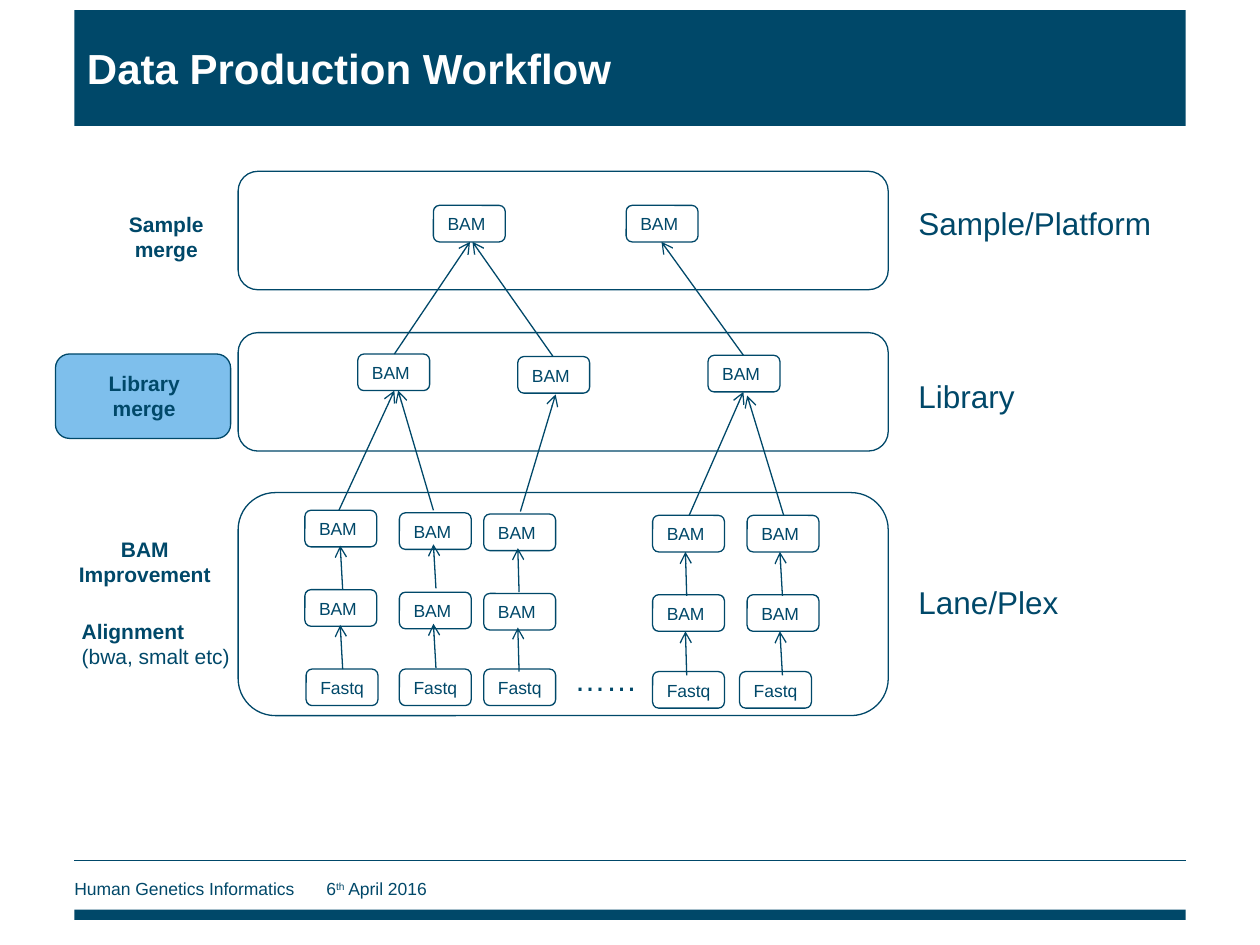
import pptx
import pptx.dml.color
import pptx.enum.shapes
import pptx.enum.text
import pptx.oxml.ns
import pptx.util
from lxml import etree
from pptx.util import Inches

COLORS = {"navy": "004869", "sky": "7EBFEC", "white": "FFFFFF"}
BOX_WIDTH, BOX_HEIGHT = 0.57, 0.29
PANEL_LEFT, PANEL_WIDTH = 1.89, 5.16
LANE_STEP = 0.63
ALIGN = pptx.enum.text.PP_ALIGN
ANCHOR = pptx.enum.text.MSO_ANCHOR
AUTO_SIZE = pptx.enum.text.MSO_AUTO_SIZE
SHAPES = pptx.enum.shapes.MSO_SHAPE


def rgb(name):
    return pptx.dml.color.RGBColor.from_string(COLORS[name])


def write_text(frame, lines, size=10, color="navy", bold=False, align=ALIGN.LEFT,
               anchor=ANCHOR.TOP):
    frame.vertical_anchor = anchor
    for index, runs in enumerate(lines):
        paragraph = frame.paragraphs[0] if index == 0 else frame.add_paragraph()
        paragraph.alignment = align
        for text, changes in runs:
            run = paragraph.add_run()
            run.text = text
            run.font.name = "Arial"
            run.font.size = pptx.util.Pt(size)
            run.font.bold = changes.get("bold", bold)
            run.font.color.rgb = rgb(color)
            if "baseline" in changes:
                run._r.get_or_add_rPr().set("baseline", str(changes["baseline"]))


def plain(*lines):
    return [[(line, {})] for line in lines]


class WorkflowSlide:
    def __init__(self, slide):
        self.slide = slide
        self.line_width = pptx.util.Pt(0.75)

    def title(self, text, left, top, width, height):
        shape = self.slide.shapes.title
        shape.left, shape.top = Inches(left), Inches(top)
        shape.width, shape.height = Inches(width), Inches(height)
        shape.fill.solid()
        shape.fill.fore_color.rgb = rgb("navy")
        shape.text_frame.auto_size = AUTO_SIZE.NONE
        write_text(shape.text_frame, plain(text), size=24, color="white", bold=True,
                   anchor=ANCHOR.MIDDLE)

    def shape(self, left, top, width, height, kind=SHAPES.ROUNDED_RECTANGLE,
              fill=None, outlined=True):
        shape = self.slide.shapes.add_shape(
            kind, Inches(left), Inches(top), Inches(width), Inches(height))
        shape.shadow.inherit = False
        if fill:
            shape.fill.solid()
            shape.fill.fore_color.rgb = rgb(fill)
        else:
            shape.fill.background()
        if outlined:
            shape.line.color.rgb = rgb("navy")
            shape.line.width = self.line_width
        else:
            shape.line.fill.background()
        return shape

    def file_box(self, text, left, top):
        shape = self.shape(left, top, BOX_WIDTH, BOX_HEIGHT)
        shape.text_frame.margin_right = 0
        write_text(shape.text_frame, plain(text))

    def label(self, lines, left, top, width, height, wrap=False, margin_left=0.1, **style):
        box = self.slide.shapes.add_textbox(
            Inches(left), Inches(top), Inches(width), Inches(height))
        frame = box.text_frame
        frame.word_wrap = wrap
        frame.auto_size = AUTO_SIZE.SHAPE_TO_FIT_TEXT
        frame.margin_left = Inches(margin_left)
        write_text(frame, lines, **style)

    def line(self, start, end, arrow=True):
        connector = self.slide.shapes.add_connector(
            pptx.enum.shapes.MSO_CONNECTOR.STRAIGHT,
            *(Inches(value) for value in (*start, *end)))
        connector.line.color.rgb = rgb("navy")
        connector.line.width = self.line_width
        if arrow:
            etree.SubElement(connector.line._get_or_add_ln(),
                             pptx.oxml.ns.qn("a:tailEnd"), type="arrow")
        etree.SubElement(connector._element.spPr, pptx.oxml.ns.qn("a:effectLst"))


def main():
    presentation = pptx.Presentation()
    presentation.slide_width, presentation.slide_height = Inches(10), Inches(7.5)
    page = WorkflowSlide(presentation.slides.add_slide(presentation.slide_layouts[5]))

    page.shape(0.59, 7.22, 8.82, 0.08, SHAPES.RECTANGLE, "navy", outlined=False)
    page.line((0.59, 6.83), (9.41, 6.83), arrow=False)
    page.label([[("Human Genetics Informatics\t6", {}), ("th", {"baseline": 30000}),
                 (" April 2016", {})]],
               0.59, 6.92, 6.71, 0.27, wrap=True, margin_left=0, anchor=ANCHOR.MIDDLE)
    page.title("Data Production Workflow", 0.59, 0.08, 8.82, 0.92)

    page.shape(0.44, 2.81, 1.39, 0.67, fill="sky")
    for top, height in ((1.36, 0.94), (2.64, 0.94), (3.91, 1.77)):
        page.shape(PANEL_LEFT, top, PANEL_WIDTH, height)

    merged_boxes = ((3.44, 1.63), (4.97, 1.63), (2.84, 2.81), (4.11, 2.83), (5.62, 2.82))
    for left, top in merged_boxes:
        page.file_box("BAM", left, top)

    lanes = (
        (2.42, 4.05, 2.43, 5.31, 2.72, 2.70, 4.68),
        (3.17, 4.07, 3.17, 5.31, 3.46, 3.44, 4.67),
        (3.84, 4.08, 3.84, 5.31, 4.12, 4.11, 4.70),
        (5.18, 4.09, 5.18, 5.33, 5.45, 5.44, 4.73),
        (5.93, 4.09, 5.87, 5.33, 6.21, 6.19, 4.73),
    )
    for bam_left, bam_top, fastq_left, fastq_top, start_x, end_x, start_y in lanes:
        page.file_box("Fastq", fastq_left, fastq_top)
        for step in (0, LANE_STEP):
            page.file_box("BAM", bam_left, bam_top + step)
            page.line((start_x, start_y + step), (end_x, start_y + step - 0.35))

    merge_arrows = (
        ((2.69, 4.05), (3.13, 3.10)), ((3.44, 4.05), (3.16, 3.10)),
        ((4.13, 4.06), (4.41, 3.13)), ((5.47, 4.09), (5.90, 3.11)),
        ((6.22, 4.09), (5.93, 3.14)), ((3.13, 2.81), (3.73, 1.92)),
        ((4.39, 2.83), (3.75, 1.92)), ((5.90, 2.82), (5.25, 1.92)),
    )
    for start, end in merge_arrows:
        page.line(start, end)

    stages = (
        (("Sample", "merge"), 0.92, 1.63, 0.80),
        (("Library", "merge"), 0.76, 2.89, 0.77),
        (("BAM", "Improvement"), 0.52, 4.21, 1.26),
    )
    for lines, left, top, width in stages:
        page.label(plain(*lines), left, top, width, 0.5, size=12, bold=True,
                   align=ALIGN.CENTER)
    page.label([[("Alignment", {"bold": True})], [("(bwa, smalt etc)", {})]],
               0.55, 4.86, 1.4, 0.5, size=12)

    levels = (
        ("Sample/Platform", 7.19, 1.57, 2.07),
        ("Library", 7.19, 2.94, 0.97),
        ("Lane/Plex", 7.19, 4.58, 1.32),
        ("……", 4.46, 5.19, 0.71),
    )
    for text, left, top, width in levels:
        page.label(plain(text), left, top, width, 0.4, size=18)

    presentation.save("out.pptx")


if __name__ == "__main__":
    main()
